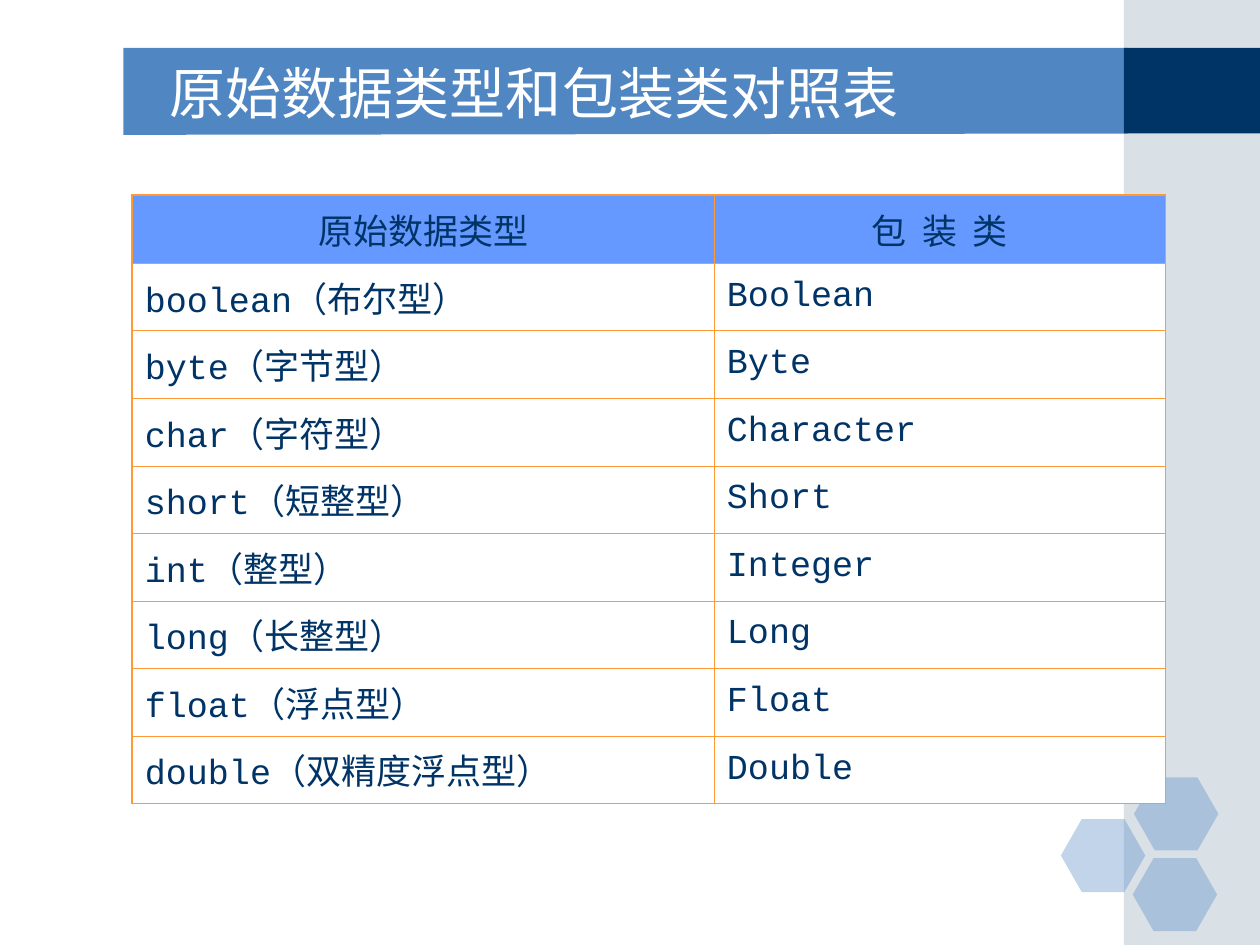
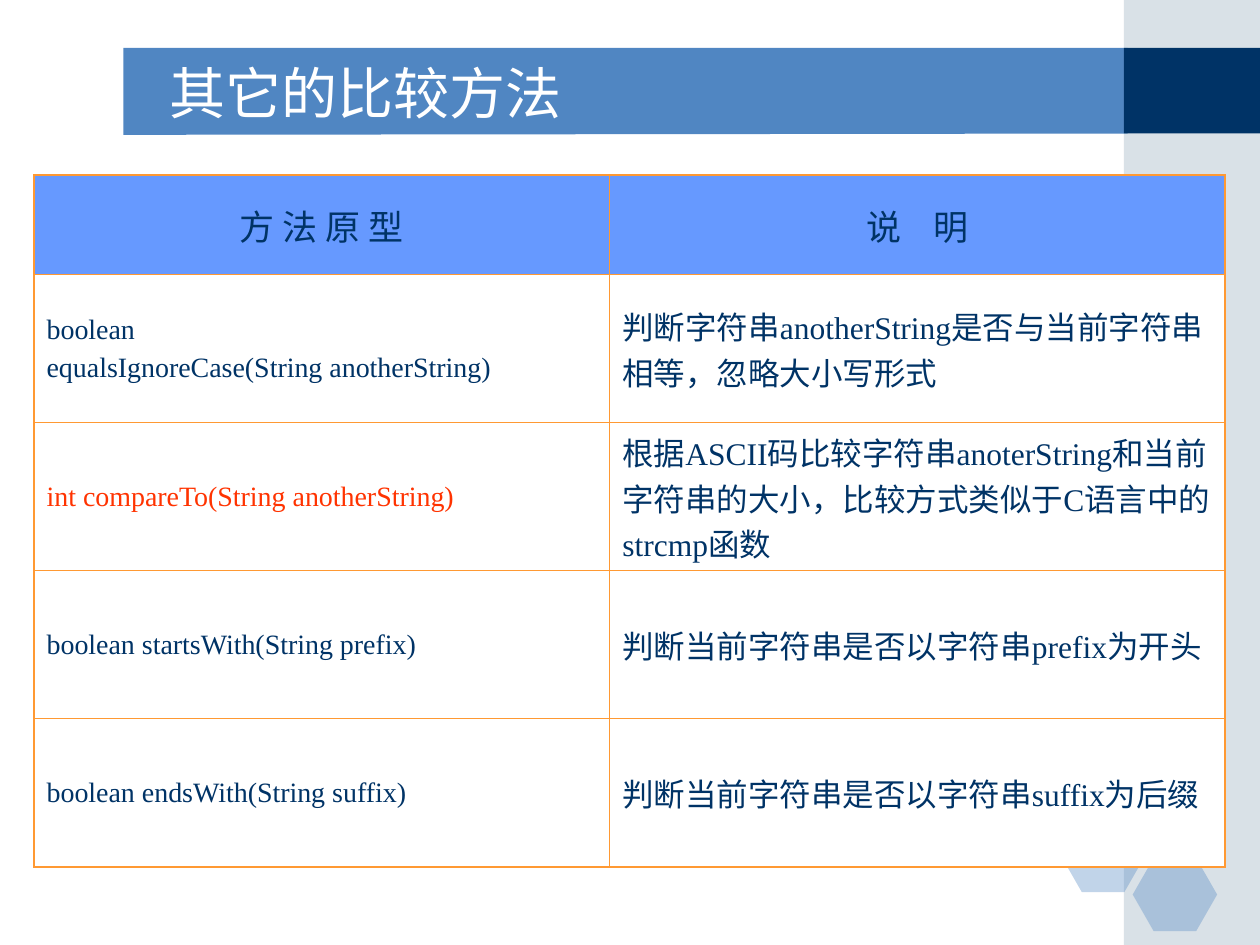
from lxml import etree
from pptx import Presentation
from pptx.dml.color import RGBColor
from pptx.enum.shapes import MSO_SHAPE
from pptx.enum.text import MSO_ANCHOR, PP_ALIGN
from pptx.oxml.ns import qn
from pptx.util import Inches, Pt

RECT, HEX = MSO_SHAPE.RECTANGLE, MSO_SHAPE.HEXAGON
MIDDLE, CENTER, LEFT = MSO_ANCHOR.MIDDLE, PP_ALIGN.CENTER, PP_ALIGN.LEFT

NAVY, BLUE, MIST, HEAD = "003366", "5086C2", "A0B5C4", "6699FF"
WHITE, RED, EDGE = "FFFFFF", "FF3300", "FF9933"
THIN, THICK = Pt(0.45), Pt(1.08)
SANS, MONO, SERIF = "Arial", "Courier New", "Times New Roman"

deck = Presentation()
deck.slide_width, deck.slide_height = Inches(10), Inches(7.5)
UNIT = deck.slide_width / 100  # square grid: 100 columns by 75 rows


def grid(*counts):
    """Turn counts of grid squares into slide lengths."""
    return [round(count * UNIT) for count in counts]


def paint(fill, shade, alpha=100):
    """Fill a shape, cell or font with a hex colour; alpha is in percent."""
    fill.solid()
    fill.fore_color.rgb = RGBColor.from_string(shade)
    if alpha < 100:
        node = fill._xPr.find(qn("a:solidFill"))[0]
        etree.SubElement(node, qn("a:alpha"), val=str(alpha * 1000))


# Left, top, width, height in squares; colour; alpha
decor = [
    (RECT, (89.2, 0, 10.8, 75), MIST, 40),
    (RECT, (89.2, 3.8, 10.8, 6.8), NAVY, 100),
    (HEX, (84.2, 65, 6.7, 5.8), BLUE, 35),
    (HEX, (90, 61.7, 6.7, 5.8), BLUE, 35),
    (HEX, (89.9, 68.1, 6.7, 5.8), BLUE, 35),
]

types = [
    ("boolean（布尔型）", "Boolean"),
    ("byte（字节型）", "Byte"),
    ("char（字符型）", "Character"),
    ("short（短整型）", "Short"),
    ("int（整型）", "Integer"),
    ("long（长整型）", "Long"),
    ("float（浮点型）", "Float"),
    ("double（双精度浮点型）", "Double"),
]
methods = [
    ("boolean\nequalsIgnoreCase(String anotherString)",
     "判断字符串anotherString是否与当前字符串相等，忽略大小写形式"),
    ("int compareTo(String anotherString)",
     "根据ASCII码比较字符串anoterString和当前字符串的大小，比较方式类似于C语言中的strcmp函数"),
    ("boolean startsWith(String prefix)", "判断当前字符串是否以字符串prefix为开头"),
    ("boolean endsWith(String suffix)", "判断当前字符串是否以字符串suffix为后缀"),
]

# Header cells pair their text with the letter spacing in points
pages = [
    dict(title="原始数据类型和包装类对照表", at=(10.5, 15.5), cols=(46.2, 35.8),
         top=5.4, step=5.36, head=(("原始数据类型", 0), ("包 装 类", 2.2)),
         body=types, font=MONO, sizes=(20, 20), red=None),
    dict(title="其它的比较方法", at=(2.7, 13.9), cols=(45.7, 48.8),
         top=7.9, step=11.75, head=(("方 法 原 型", 0), ("说 明", 7)),
         body=methods, font=SERIF, sizes=(16, 18), red=(2, 0)),
]

for page in pages:
    slide = deck.slides.add_slide(deck.slide_layouts[6])
    shapes = slide.shapes

    # Title band and side decoration
    pen = shapes.build_freeform(*grid(9.8, 3.8))
    pen.add_line_segments(
        [grid(89.5, 3.8), grid(89.5, 10.6), grid(9.8, 10.7)], close=True)
    band = pen.convert_to_shape()
    band.shadow.inherit = False
    paint(band.fill, BLUE)
    band.line.fill.background()
    for kind, box, shade, alpha in decor:
        part = shapes.add_shape(kind, *grid(*box))
        if kind == HEX:
            part.adjustments[0] = 0.286
        part.shadow.inherit = False
        paint(part.fill, shade, alpha)
        part.line.fill.background()

    # Title
    frame = shapes.add_textbox(*grid(12.5, 4.2, 73.3, 6.2)).text_frame
    frame.word_wrap = True
    frame.vertical_anchor = MIDDLE
    frame.text = page["title"]
    font = frame.paragraphs[0].runs[0].font
    font.name, font.size = SANS, Pt(32)
    paint(font.fill, WHITE)

    # Table
    last = len(page["body"])
    tall = page["top"] + last * page["step"]
    table = shapes.add_table(
        last + 1, 2, *grid(*page["at"], sum(page["cols"]), tall)).table
    table.first_row = table.horz_banding = False
    for col, wide in zip(table.columns, grid(*page["cols"])):
        col.width = wide
    for row, high in zip(table.rows, grid(page["top"], *[page["step"]] * last)):
        row.height = high

    rows = [[text for text, gap in page["head"]], *page["body"]]
    for r, texts in enumerate(rows):
        for c, text in enumerate(texts):
            cell = table.cell(r, c)
            cell.vertical_anchor = MIDDLE
            outer = {"lnL": c == 0, "lnR": c == 1, "lnT": r == 0, "lnB": r == last}
            for side, bold in outer.items():
                line = etree.SubElement(
                    cell._tc.get_or_add_tcPr(), qn("a:" + side),
                    w=str(THICK if bold else THIN))
                solid = etree.SubElement(line, qn("a:solidFill"))
                etree.SubElement(solid, qn("a:srgbClr"), val=EDGE)
            paint(cell.fill, WHITE if r else HEAD)

            cell.text_frame.text = text
            for n, para in enumerate(cell.text_frame.paragraphs):
                para.alignment = LEFT if r else CENTER
                if n:
                    para.space_before = Pt(4)
                run = para.runs[0]
                run.font.name = page["font"] if r else MONO
                run.font.size = Pt(page["sizes"][c] if r else 20)
                paint(run.font.fill, RED if (r, c) == page["red"] else NAVY)
                if r == 0 and page["head"][c][1]:
                    run.font._element.set("spc", str(round(page["head"][c][1] * 100)))

deck.save("out.pptx")
